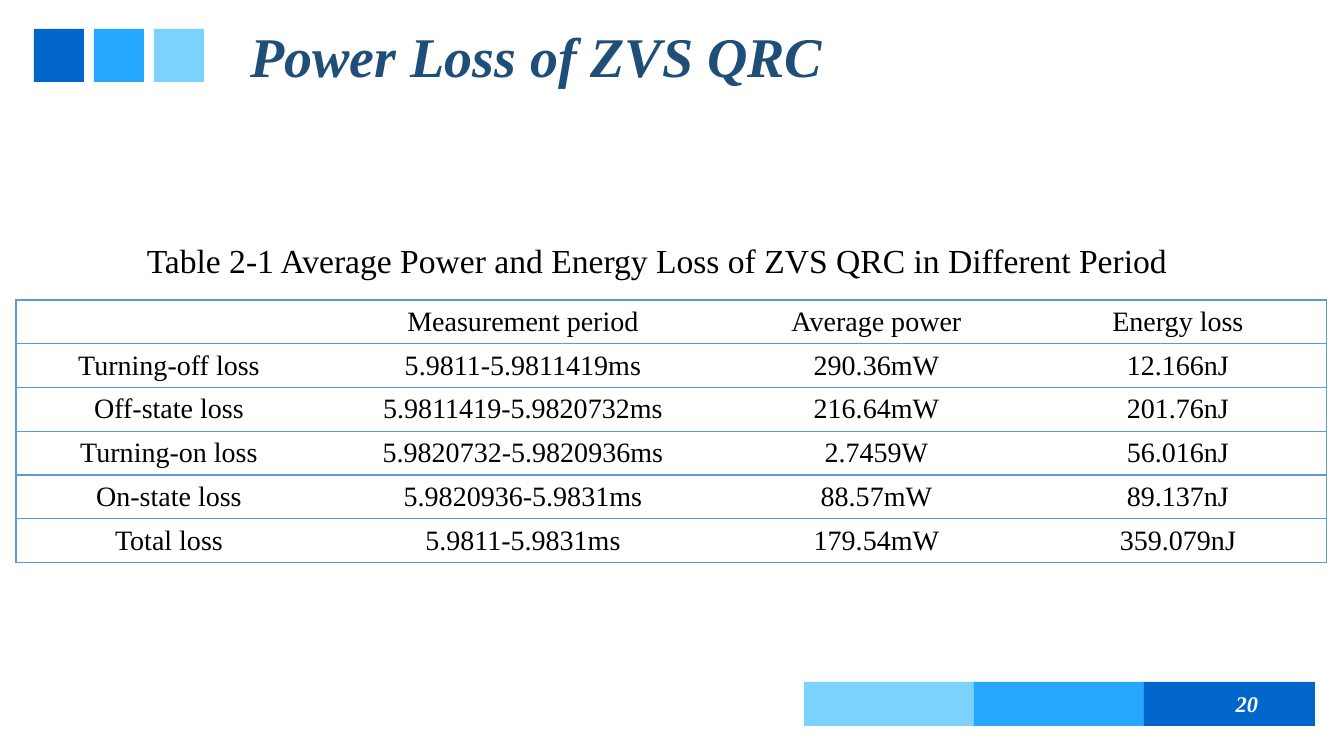
from dataclasses import dataclass

from lxml import etree
from pptx import Presentation
from pptx import util as u
from pptx.dml.color import RGBColor
from pptx.enum import shapes, text
from pptx.oxml import ns

EMU_PER_PX = 914400 / 100.8


@dataclass(frozen=True)
class Theme:
    font: str = "Times New Roman"
    dark: str = "0066CC"
    mid: str = "25A7FD"
    light: str = "7BD2FD"
    heading: str = "1F4E79"
    ink: str = "000000"
    paper: str = "FFFFFF"
    rule: str = "5B9BD5"
    heading_size: int = 40
    caption_size: int = 24
    cell_size: int = 20
    number_size: int = 16
    rule_width: int = 1


THEME = Theme()

LOSSES = [
    ("", "Measurement period", "Average power", "Energy loss"),
    ("Turning-off loss", "5.9811-5.9811419ms", "290.36mW", "12.166nJ"),
    ("Off-state loss", "5.9811419-5.9820732ms", "216.64mW", "201.76nJ"),
    ("Turning-on loss", "5.9820732-5.9820936ms", "2.7459W", "56.016nJ"),
    ("On-state loss", "5.9820936-5.9831ms", "88.57mW", "89.137nJ"),
    ("Total loss", "5.9811-5.9831ms", "179.54mW", "359.079nJ"),
]
COLUMN_WIDTHS = (306, 402, 305, 298)


def px(length):
    return u.Emu(round(length * EMU_PER_PX))


def box(*lengths):
    return [px(length) for length in lengths]


def write(frame, words, size, color, align=text.PP_ALIGN.CENTER, strong=False):
    frame.text = words
    paragraph = frame.paragraphs[0]
    paragraph.alignment = align
    for run in paragraph.runs:
        run.font.name = THEME.font
        run.font.size = u.Pt(size)
        run.font.color.rgb = RGBColor.from_string(color)
        run.font.bold = run.font.italic = strong


def add_blocks(slide, left, top, width, height, step, colors):
    for index, color in enumerate(colors):
        block = slide.shapes.add_shape(
            shapes.MSO_SHAPE.RECTANGLE, *box(left + index * step, top, width, height))
        block.shadow.inherit = False
        block.fill.solid()
        block.fill.fore_color.rgb = RGBColor.from_string(color)
        block.line.fill.background()


def add_heading(slide, words):
    heading = slide.shapes.title
    heading.left, heading.top, heading.width, heading.height = box(170, 0, 733, 95)
    frame = heading.text_frame
    write(frame, words, THEME.heading_size, THEME.heading, strong=True)
    frame.auto_size = text.MSO_AUTO_SIZE.NONE
    frame.vertical_anchor = text.MSO_ANCHOR.BOTTOM
    frame.paragraphs[0].line_spacing = 0.9


def add_label(slide, bounds, words, size, color, wrap=True, **style):
    frame = slide.shapes.add_textbox(*box(*bounds)).text_frame
    frame.word_wrap = wrap
    frame.vertical_anchor = text.MSO_ANCHOR.MIDDLE
    write(frame, words, size, color, **style)


def set_borders(cell, visible_sides):
    properties = cell._tc.get_or_add_tcPr()
    for index, side in enumerate("LRTB"):
        edge = etree.Element(ns.qn(f"a:ln{side}"), w=str(u.Pt(THEME.rule_width)))
        if side in visible_sides:
            fill = etree.SubElement(edge, ns.qn("a:solidFill"))
            etree.SubElement(fill, ns.qn("a:srgbClr"), val=THEME.rule)
        else:
            etree.SubElement(edge, ns.qn("a:noFill"))
        properties.insert(index, edge)


def add_loss_table(slide, left, top, height):
    bounds = box(left, top, sum(COLUMN_WIDTHS), height)
    losses = slide.shapes.add_table(len(LOSSES), len(COLUMN_WIDTHS), *bounds).table
    losses.first_row = losses.horz_banding = False
    for column, width in zip(losses.columns, COLUMN_WIDTHS):
        column.width = px(width)
    outer_sides = {0: "L", len(COLUMN_WIDTHS) - 1: "R"}
    for row, entries in enumerate(LOSSES):
        for column, entry in enumerate(entries):
            cell = losses.cell(row, column)
            write(cell.text_frame, entry, THEME.cell_size, THEME.ink)
            cell.vertical_anchor = text.MSO_ANCHOR.MIDDLE
            cell.fill.solid()
            cell.fill.fore_color.rgb = RGBColor.from_string(THEME.paper)
            set_borders(cell, "TB" + outer_sides.get(column, ""))


def main():
    deck = Presentation()
    deck.slide_width, deck.slide_height = box(1344, 756)
    slide = deck.slides.add_slide(deck.slide_layouts[5])
    blues = (THEME.dark, THEME.mid, THEME.light)
    add_blocks(slide, 34, 29, 50, 53, 60, blues)
    add_blocks(slide, 804, 682, 171, 44, 170, blues[::-1])
    add_heading(slide, "Power Loss of ZVS QRC")
    add_label(slide, (966, 684, 302, 40), "20", THEME.number_size, THEME.paper,
              align=text.PP_ALIGN.RIGHT, strong=True)
    add_label(slide, (132, 235, 1050, 50),
              "Table 2-1 Average Power and Energy Loss of ZVS QRC in Different Period",
              THEME.caption_size, THEME.ink, wrap=False)
    add_loss_table(slide, 16, 300, 262)
    deck.save("out.pptx")


if __name__ == "__main__":
    main()
